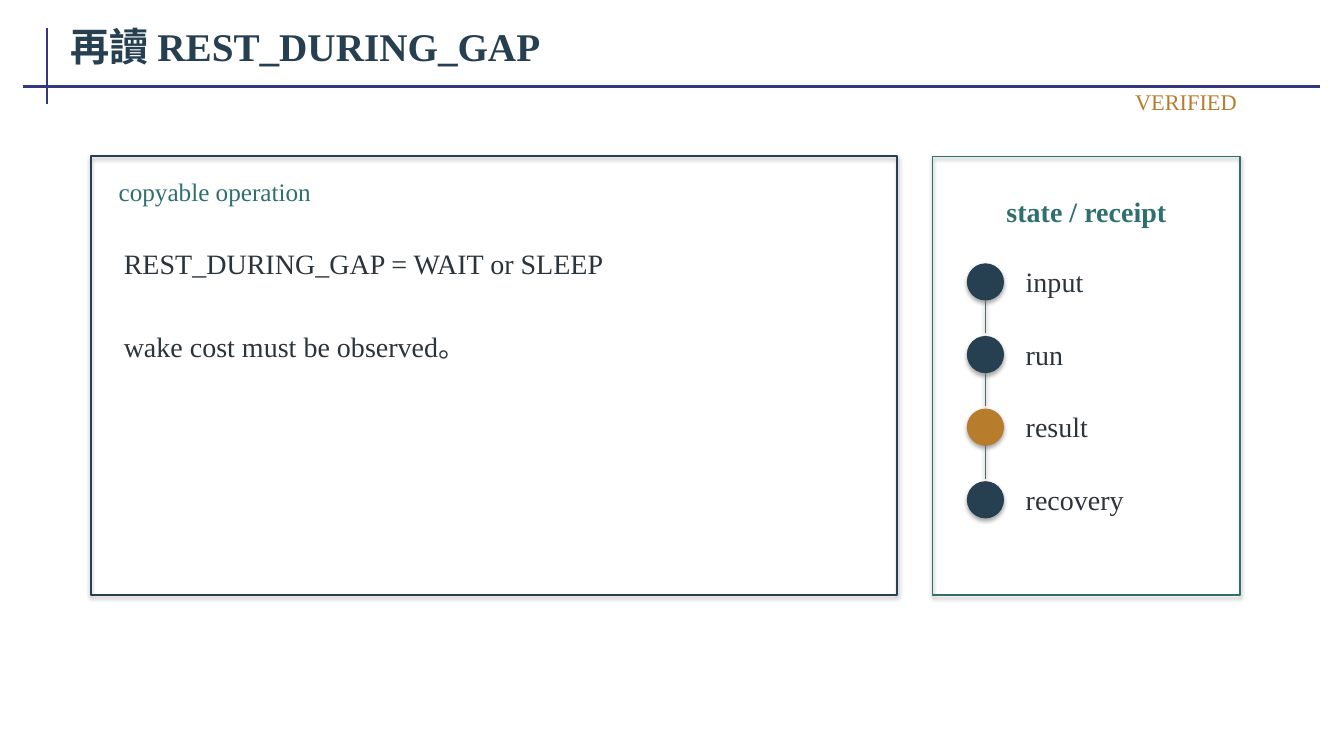
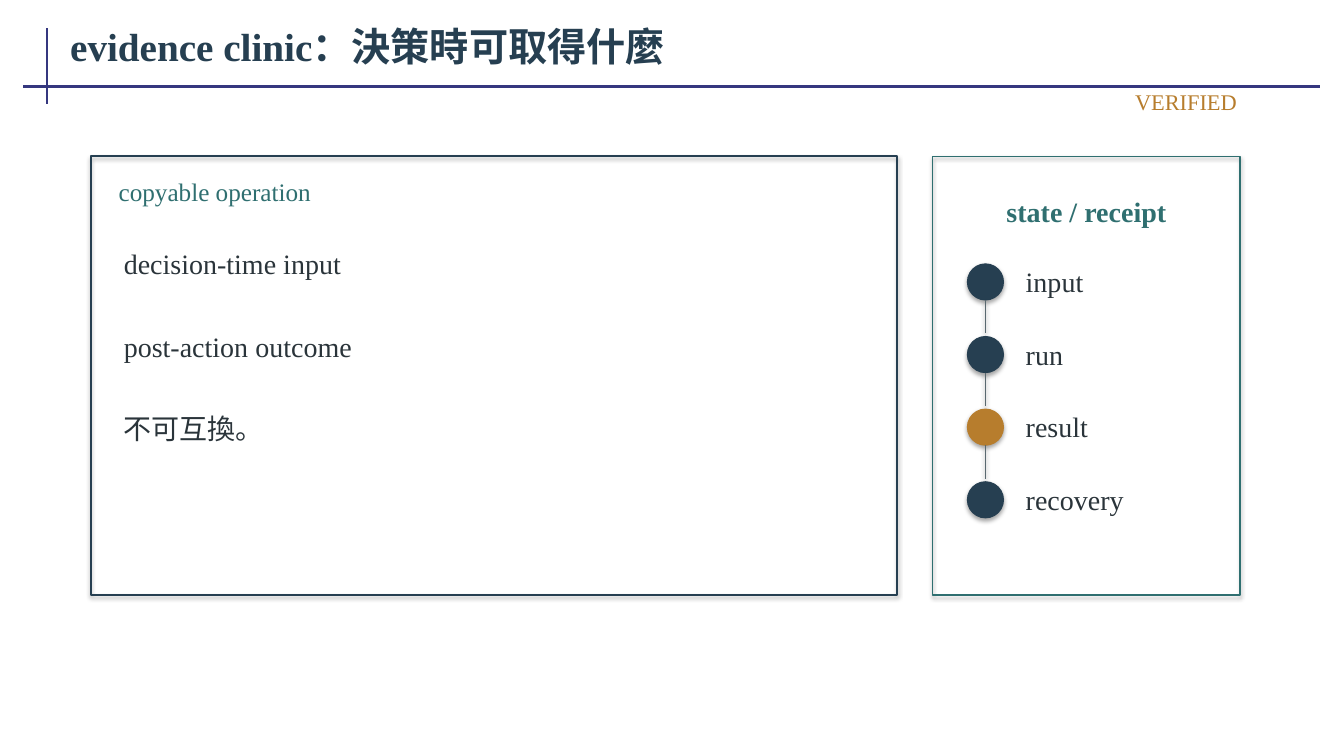
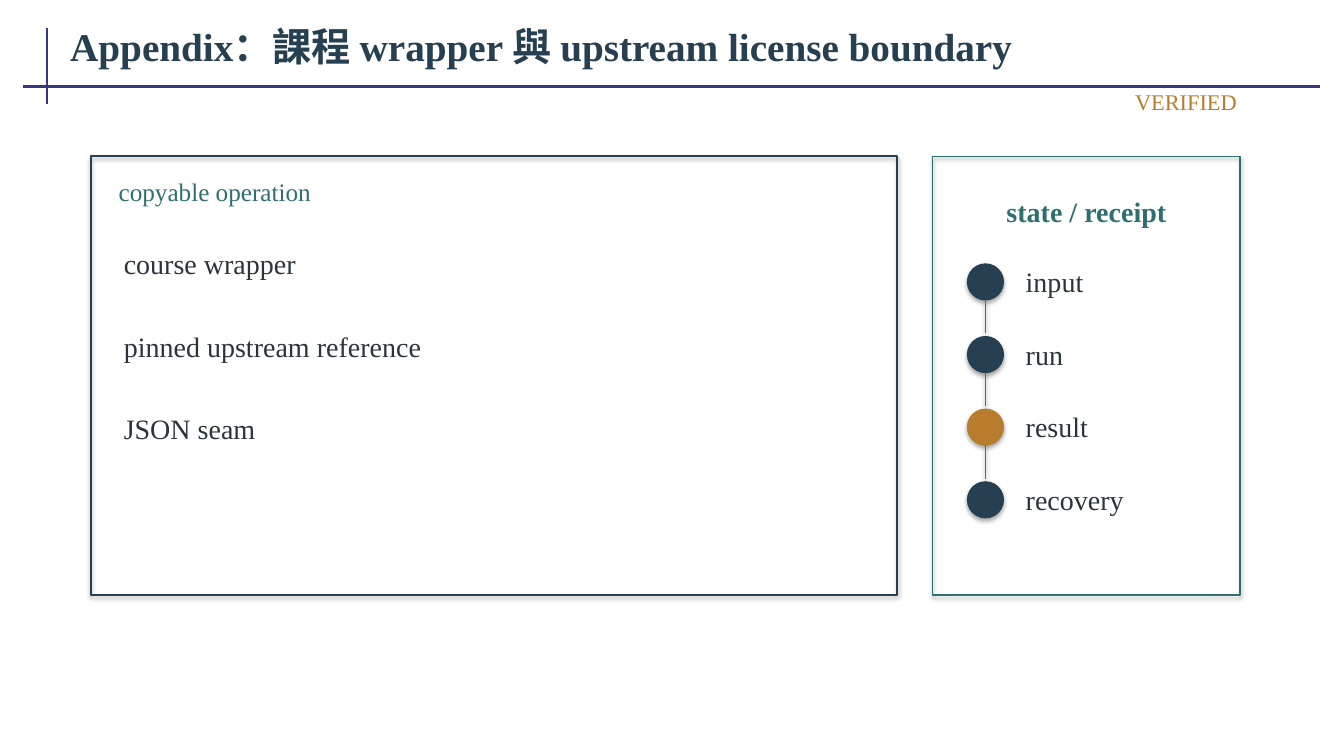
from pptx import Presentation
from pptx.dml.color import RGBColor
from pptx.enum import shapes, text
from pptx.oxml import parse_xml
from pptx.oxml.ns import nsdecls
from pptx.util import Cm, Pt

NAVY, TEAL, AMBER = "263F51", "2F6F70", "B77D2D"
INK, GREY, INDIGO = "2A343A", "59686F", "35377F"

FRAME = {
    "word_wrap": True,
    "vertical_anchor": text.MSO_ANCHOR.MIDDLE,
    "margin_left": Cm(0.2),
    "margin_right": Cm(0.2),
    "margin_top": Cm(0.1),
    "margin_bottom": Cm(0.1),
}
FIT, FIXED = text.MSO_AUTO_SIZE.SHAPE_TO_FIT_TEXT, text.MSO_AUTO_SIZE.NONE
LEFT, CENTER, RIGHT = text.PP_ALIGN.LEFT, text.PP_ALIGN.CENTER, text.PP_ALIGN.RIGHT

RULES = [(1.19, 0.71, 1.19, 2.62), (0.58, 2.18, 33.27, 2.18)]
PANELS = [(2.29, 20.32, NAVY, 1.4), (23.5, 7.75, TEAL, 1.1)]
STEPS = [("input", NAVY), ("run", NAVY), ("result", AMBER), ("recovery", NAVY)]
STEP_TOP, STEP_PITCH, DOT = 6.65, 1.83, 0.91

CONTENT = [
    ("再讀 REST_DURING_GAP",
     ["REST_DURING_GAP = WAIT or SLEEP", "wake cost must be observed。"]),
    ("evidence clinic：決策時可取得什麼",
     ["decision-time input", "post-action outcome", "不可互換。"]),
    ("Appendix：課程 wrapper 與 upstream license boundary",
     ["course wrapper", "pinned upstream reference", "JSON seam"]),
]


def rgb(code):
    return RGBColor.from_string(code)


def add_text(slide, words, box, size, color, bold=False, align=LEFT, fit=FIT):
    frame = slide.shapes.add_textbox(*map(Cm, box)).text_frame
    for name, value in {**FRAME, "auto_size": fit}.items():
        setattr(frame, name, value)
    paragraph = frame.paragraphs[0]
    paragraph.alignment = align
    run = paragraph.add_run()
    run.text = words
    for name, value in {"name": "Times New Roman", "size": Pt(size), "bold": bold}.items():
        setattr(run.font, name, value)
    run.font.color.rgb = rgb(color)


prs = Presentation()
prs.slide_width, prs.slide_height = Cm(33.87), Cm(19.05)

for title, operations in CONTENT:
    slide = prs.slides.add_slide(prs.slide_layouts[6])

    for ends in RULES:
        rule = slide.shapes.add_connector(shapes.MSO_CONNECTOR.STRAIGHT, *map(Cm, ends))
        rule.line.color.rgb = rgb(INDIGO)
        rule.line.width = Pt(1.5)
        rule._element.spPr.append(parse_xml(f"<a:effectLst {nsdecls('a')}/>"))
    add_text(slide, title, (1.57, 0.38, 31.72, 1.57), 28, NAVY, bold=True, fit=FIXED)

    # Panels, dots and links keep the soft shadow of the theme
    for left, width, color, weight in PANELS:
        panel = slide.shapes.add_shape(
            shapes.MSO_SHAPE.RECTANGLE, Cm(left), Cm(3.94), Cm(width), Cm(11.05))
        panel.fill.background()
        panel.line.color.rgb = rgb(color)
        panel.line.width = Pt(weight)

    add_text(slide, "copyable operation", (2.79, 4.37, 19.3, 0.89), 18, TEAL)
    for row, operation in enumerate(operations):
        add_text(slide, operation, (2.92, 5.72 + 2.08 * row, 18.67, 1.83), 20, INK)

    add_text(slide, "state / receipt", (24.08, 4.62, 6.6, 1.4), 20, TEAL,
             bold=True, align=CENTER)
    for row, (step, color) in enumerate(STEPS):
        top = STEP_TOP + STEP_PITCH * row
        dot = slide.shapes.add_shape(
            shapes.MSO_SHAPE.OVAL, Cm(24.38), Cm(top), Cm(DOT), Cm(DOT))
        dot.fill.solid()
        dot.fill.fore_color.rgb = rgb(color)
        dot.line.color.rgb = rgb(color)
        dot.line.width = Pt(0.75)
        add_text(slide, step, (25.65, top - 0.07, 4.7, 1.02), 20, INK)
        if row < len(STEPS) - 1:
            middle = Cm(24.38 + DOT / 2)
            link = slide.shapes.add_connector(
                shapes.MSO_CONNECTOR.STRAIGHT,
                middle, Cm(top + DOT), middle, Cm(top + STEP_PITCH - 0.08))
            link.line.color.rgb = rgb(GREY)
            link.line.width = Pt(0.9)

    add_text(slide, "VERIFIED", (23.24, 2.18, 8.13, 0.76), 16, AMBER, align=RIGHT)

prs.save("out.pptx")
